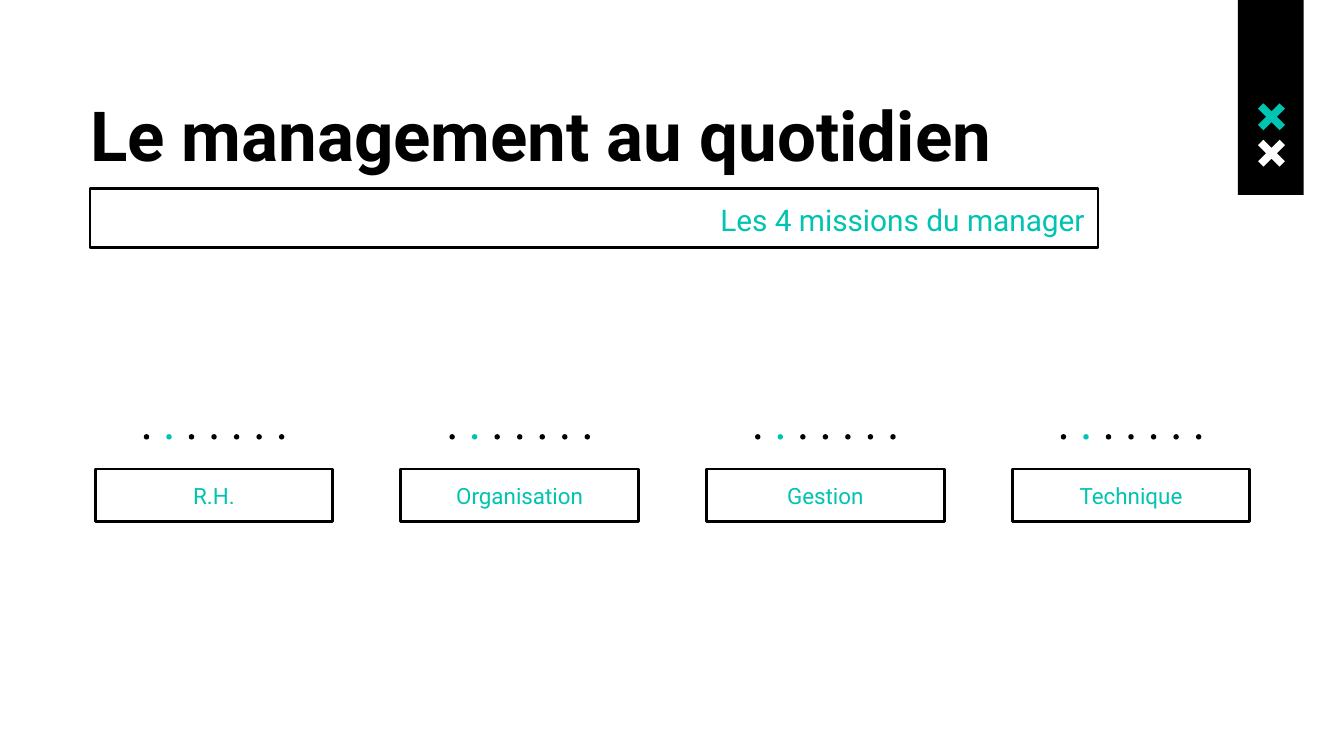
"""Build the slide on the four missions of a manager."""
from dataclasses import dataclass
from typing import Optional

from pptx import Presentation
from pptx.dml.color import RGBColor as Rgb
from pptx.enum.shapes import MSO_SHAPE as Preset
from pptx.enum.text import MSO_ANCHOR as Anchor, MSO_AUTO_SIZE as AutoSize, PP_ALIGN as Align
from pptx.util import Pt


@dataclass(frozen=True)
class Theme:
    black: Rgb = Rgb(0, 0, 0)
    teal: Rgb = Rgb(0x00, 0xC3, 0xB1)
    white: Rgb = Rgb(255, 255, 255)
    font: str = "Roboto"
    title_size: float = 37
    subtitle_size: float = 16
    mission_size: float = 12
    border: float = 1.5
    inset: float = 7.2


@dataclass(frozen=True)
class Area:
    left: float
    top: float
    width: float
    height: float

    def lengths(self) -> tuple:
        return tuple(Pt(v) for v in (self.left, self.top, self.width, self.height))


@dataclass(frozen=True)
class Label:
    text: str
    size: float
    color: Rgb
    align: Align
    anchor: Anchor
    bold: bool = False


@dataclass(frozen=True)
class Cross:
    top: float
    color: Rgb


THEME = Theme()
TITLE_AREA = Area(41.04, 42.5, 637.9, 56.9)
SUBTITLE_AREA = Area(48.25, 100.8, 540, 31.7)
BANNER_AREA = Area(663.1, 0, 35.3, 104.4)
MISSIONS = ("R.H.", "Organisation", "Gestion", "Technique")
FIRST_MISSION = Area(51, 251.3, 127.4, 28.1)
MISSION_PITCH = 163.75
DOT_COUNT, DOT_PITCH, DOT_SIZE, DOT_TOP = 7, 12.07, 2.9, 232.6
ACCENT_DOT = 1
CROSSES = (Cross(55.4, THEME.teal), Cross(74.9, THEME.white))
CROSS_LEFT, CROSS_UNIT = 674, 1.44
CROSS_OUTLINE = ((2, 0), (0, 2), (3, 5), (0, 8), (2, 10), (5, 7),
                 (8, 10), (10, 8), (7, 5), (10, 2), (8, 0), (5, 3))


def apply(target, formats: dict) -> None:
    """Set each named attribute on the target."""
    for attribute, value in formats.items():
        setattr(target, attribute, value)


def paint(shape, fill: Optional[Rgb] = None, border: Optional[Rgb] = None) -> None:
    """Give a shape a flat fill and border, or none."""
    shape.shadow.inherit = False
    if fill is None:
        shape.fill.background()
    else:
        shape.fill.solid()
        shape.fill.fore_color.rgb = fill
    if border is None:
        shape.line.fill.background()
    else:
        shape.line.color.rgb = border
        shape.line.width = Pt(THEME.border)


def write(shape, label: Label) -> None:
    """Put a formatted label into a shape."""
    frame = shape.text_frame
    margins = {f"margin_{side}": Pt(THEME.inset) for side in ("left", "top", "right", "bottom")}
    apply(frame, {"text": label.text, "word_wrap": True, "auto_size": AutoSize.NONE,
                  "vertical_anchor": label.anchor, **margins})
    paragraph = frame.paragraphs[0]
    paragraph.alignment = label.align
    font = paragraph.runs[0].font
    apply(font, {"name": THEME.font, "size": Pt(label.size), "bold": label.bold})
    font.color.rgb = label.color


def draw_frame(shapes, area: Area, label: Label) -> None:
    """Draw an outlined rectangle with a label."""
    frame = shapes.add_shape(Preset.RECTANGLE, *area.lengths())
    paint(frame, border=THEME.black)
    write(frame, label)


def draw_cross(shapes, cross: Cross) -> None:
    """Draw one diagonal cross on the banner."""
    builder = shapes.build_freeform(*CROSS_OUTLINE[0], scale=Pt(CROSS_UNIT))
    builder.add_line_segments(CROSS_OUTLINE[1:], close=True)
    paint(builder.convert_to_shape(Pt(CROSS_LEFT), Pt(cross.top)), fill=cross.color)


def draw_dots(shapes, center: float) -> None:
    """Draw a grouped row of dots around a horizontal center."""
    row = shapes.add_group_shape().shapes
    first = center - ((DOT_COUNT - 1) * DOT_PITCH + DOT_SIZE) / 2
    for index in range(DOT_COUNT):
        area = Area(first + index * DOT_PITCH, DOT_TOP, DOT_SIZE, DOT_SIZE)
        dot = row.add_shape(Preset.OVAL, *area.lengths())
        paint(dot, fill=THEME.teal if index == ACCENT_DOT else THEME.black)


def draw_mission(shapes, index: int, mission: str) -> None:
    """Draw one mission frame and the dots above it."""
    base = FIRST_MISSION
    area = Area(base.left + index * MISSION_PITCH, base.top, base.width, base.height)
    draw_dots(shapes, area.left + area.width / 2)
    draw_frame(shapes, area, Label(mission, THEME.mission_size, THEME.teal,
                                   Align.CENTER, Anchor.MIDDLE))


def main() -> None:
    """Build and save the slide."""
    deck = Presentation()
    apply(deck, {"slide_width": Pt(720), "slide_height": Pt(405)})
    slide = deck.slides.add_slide(deck.slide_layouts[5])
    shapes = slide.shapes

    title = shapes.title
    apply(title, dict(zip(("left", "top", "width", "height"), TITLE_AREA.lengths())))
    write(title, Label("Le management au quotidien", THEME.title_size, THEME.black,
                       Align.LEFT, Anchor.TOP, bold=True))

    banner = shapes.add_shape(Preset.RECTANGLE, *BANNER_AREA.lengths())
    paint(banner, fill=THEME.black)
    for cross in CROSSES:
        draw_cross(shapes, cross)

    draw_frame(shapes, SUBTITLE_AREA, Label("Les 4 missions du manager", THEME.subtitle_size,
                                            THEME.teal, Align.RIGHT, Anchor.TOP))
    for index, mission in enumerate(MISSIONS):
        draw_mission(shapes, index, mission)

    deck.save("out.pptx")


if __name__ == "__main__":
    main()
